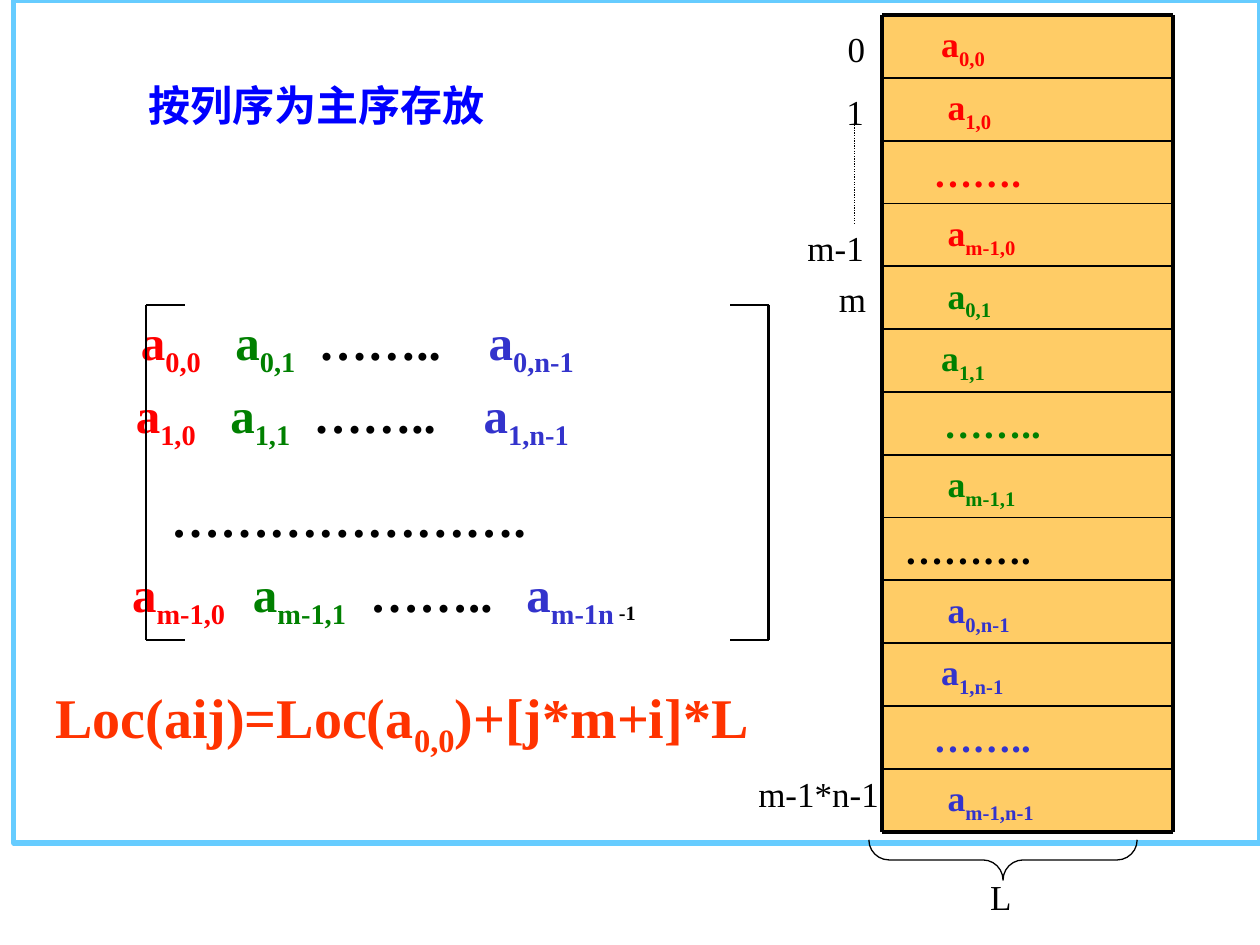
from lxml import etree
from pptx import Presentation
from pptx import util as u
from pptx.dml import color as dml
from pptx.enum import dml as styles
from pptx.enum import shapes, text
from pptx.oxml import ns

BLACK, RED, GREEN, BLUE = "000000", "FF0000", "008000", "3333CC"
ROWS = 13
LEFT, RIGHT, TOP, BOTTOM = 7, 9.31, 0.12, 6.6
STEP = (BOTTOM - TOP) / ROWS

CELLS = [
    ("a", "0,0", RED, 0.37),
    ("a", "1,0", RED, 0.42),
    ("…….", "", RED, 0.31),
    ("a", "m-1,0", RED, 0.42),
    ("a", "0,1", GREEN, 0.42),
    ("a", "1,1", GREEN, 0.37),
    ("……..", "", GREEN, 0.39),
    ("a", "m-1,1", GREEN, 0.42),
    ("……….", "", BLACK, 0.08),
    ("a", "0,n-1", BLUE, 0.42),
    ("a", "1,n-1", BLUE, 0.37),
    ("……..", "", BLUE, 0.31),
    ("a", "m-1,n-1", BLUE, 0.42),
]

MATRIX = [
    (2.42, 5.79, ("0,0", "0,1", "0,n-1"), (1.02, 1.77, 2.43, 3.78)),
    (3, 6.32, ("1,0", "1,1", "1,n-1"), (0.98, 1.73, 2.39, 3.74)),
    (4.42, 7.16, ("m-1,0", "m-1,1", "m-1n"), (0.95, 1.91, 2.84, 4.08)),
]

LABELS = [
    ("0", 6.63, 0.17, 0.34),
    ("1", 6.62, 0.67, 0.34),
    ("m-1", 6.31, 1.75, 0.65),
    ("m-1*n-1", 5.92, 6.08, 1.16),
    ("m", 6.56, 2.15, 0.41),
    ("L", 7.76, 6.9, 0.31),
]


def rgb(value):
    return dml.RGBColor.from_string(value)


def add_span(para, words, size=20, color=BLACK, bold=False, sub=False):
    span = para.add_run()
    span.text = words
    span.font.name = "Times New Roman"
    span.font.size = u.Pt(size)
    span.font.bold = bold
    span.font.color.rgb = rgb(color)
    if sub:
        span.font._element.set("baseline", "-25000")


def add_tabs(para, stops):
    tab_list = etree.SubElement(para._p.get_or_add_pPr(), ns.qn("a:tabLst"))
    for stop in stops:
        etree.SubElement(tab_list, ns.qn("a:tab"), pos=str(u.Inches(stop)), algn="l")


def add_box(page, left, top, width, height, wrap=True):
    box = page.shapes.add_textbox(*map(u.Inches, (left, top, width, height)))
    box.text_frame.word_wrap = wrap
    box.text_frame.auto_size = text.MSO_AUTO_SIZE.SHAPE_TO_FIT_TEXT
    return box.text_frame.paragraphs[0]


def add_rectangle(page, left, top, width, height, fill):
    box = page.shapes.add_shape(
        shapes.MSO_SHAPE.RECTANGLE, *map(u.Inches, (left, top, width, height)))
    box.shadow.inherit = False
    box.fill.solid()
    box.fill.fore_color.rgb = rgb(fill)
    box.line.fill.background()
    return box


def add_line(page, x1, y1, x2, y2, width):
    line = page.shapes.add_connector(
        shapes.MSO_CONNECTOR.STRAIGHT, *map(u.Inches, (x1, y1, x2, y2)))
    line.line.color.rgb = rgb(BLACK)
    line.line.width = u.Pt(width)
    etree.SubElement(line._element.spPr, ns.qn("a:effectLst"))
    return line


def add_frame(page):
    frame = add_rectangle(page, 0.11, 0, 9.89, 6.69, "FFFFFF")
    frame.line.color.rgb = rgb("66CCFF")
    frame.line.width = u.Pt(3)
    page.shapes._spTree.insert(2, frame._element)


def add_title(page):
    title = page.shapes.title
    title.left, title.top, title.width, title.height = map(
        u.Inches, (0.95, 0.58, 3.89, 0.5))
    frame = title.text_frame
    frame.margin_left = u.Inches(0.23)
    frame.auto_size = text.MSO_AUTO_SIZE.NONE
    frame.vertical_anchor = text.MSO_ANCHOR.MIDDLE
    para = frame.paragraphs[0]
    para.alignment = text.PP_ALIGN.LEFT
    add_span(para, "按列序为主序存放", size=24, color="0000FF", bold=True)


def add_memory(page):
    for row, (symbol, index, color, indent) in enumerate(CELLS):
        cell = add_rectangle(page, LEFT, TOP + row * STEP, RIGHT - LEFT, STEP, "FFCC66")
        frame = cell.text_frame
        frame.margin_left = u.Inches(0.1 + indent)
        frame.vertical_anchor = text.MSO_ANCHOR.MIDDLE
        para = frame.paragraphs[0]
        para.alignment = text.PP_ALIGN.LEFT
        size = 20.4 if index else 22.2
        add_span(para, symbol, size=size, color=color, bold=True)
        if index:
            add_span(para, index, size=size, color=color, bold=True, sub=True)
    for row in range(ROWS + 1):
        y = TOP + row * STEP
        add_line(page, LEFT, y, RIGHT, y, 2.25 if row in (0, ROWS) else 1)
    for x in (LEFT, RIGHT):
        add_line(page, x, TOP, x, BOTTOM, 2.25)


def add_matrix(page):
    for top, width, indexes, stops in MATRIX:
        para = add_box(page, 0, top, width, 0.63)
        add_tabs(para, stops)
        for index, color in zip(indexes, (RED, GREEN, BLUE)):
            if color == BLUE:
                add_span(para, "\t……..", size=28, bold=True)
            add_span(para, "\ta", size=28, color=color, bold=True)
            add_span(para, index, size=28, color=color, bold=True, sub=True)
    add_span(para, " -1", size=20, bold=True, sub=True)
    para = add_box(page, 0, 3.83, 5.89, 0.57)
    add_tabs(para, [1.26])
    add_span(para, "\t………………….", size=28, bold=True)
    for outer, inner in ((1.16, 1.47), (6.1, 5.79)):
        add_line(page, outer, 2.42, outer, 5.08, 1.5)
        for y in (2.42, 5.08):
            add_line(page, outer, y, inner, y, 1.5)


def add_formula(page):
    para = add_box(page, 0.34, 5.37, 6.95, 0.71)
    for words, sub in (("Loc(aij)=Loc(a", False), ("0,0", True), (")+[j*m+i]*L", False)):
        add_span(para, words, size=32, color="FF3300", bold=True, sub=sub)


def add_brace(page):
    brace = page.shapes.add_shape(
        shapes.MSO_SHAPE.RIGHT_BRACE, *map(u.Inches, (7.8, 5.76, 0.32, 2.13)))
    brace.rotation = 90
    brace.adjustments[0] = 0.5
    brace.shadow.inherit = False
    brace.fill.background()
    brace.line.color.rgb = rgb(BLACK)
    brace.line.width = u.Pt(0.75)


def main():
    deck = Presentation()
    deck.slide_width, deck.slide_height = u.Inches(10), u.Inches(7.5)
    page = deck.slides.add_slide(deck.slide_layouts[5])
    add_frame(page)
    add_title(page)
    for words, left, top, width in LABELS:
        add_span(add_box(page, left, top, width, 0.44, wrap=False), words)
    dots = add_line(page, 6.78, 0.97, 6.78, 1.78, 0.75)
    dots.line.dash_style = styles.MSO_LINE.ROUND_DOT
    add_memory(page)
    add_matrix(page)
    add_formula(page)
    add_brace(page)
    deck.save("out.pptx")


if __name__ == "__main__":
    main()
